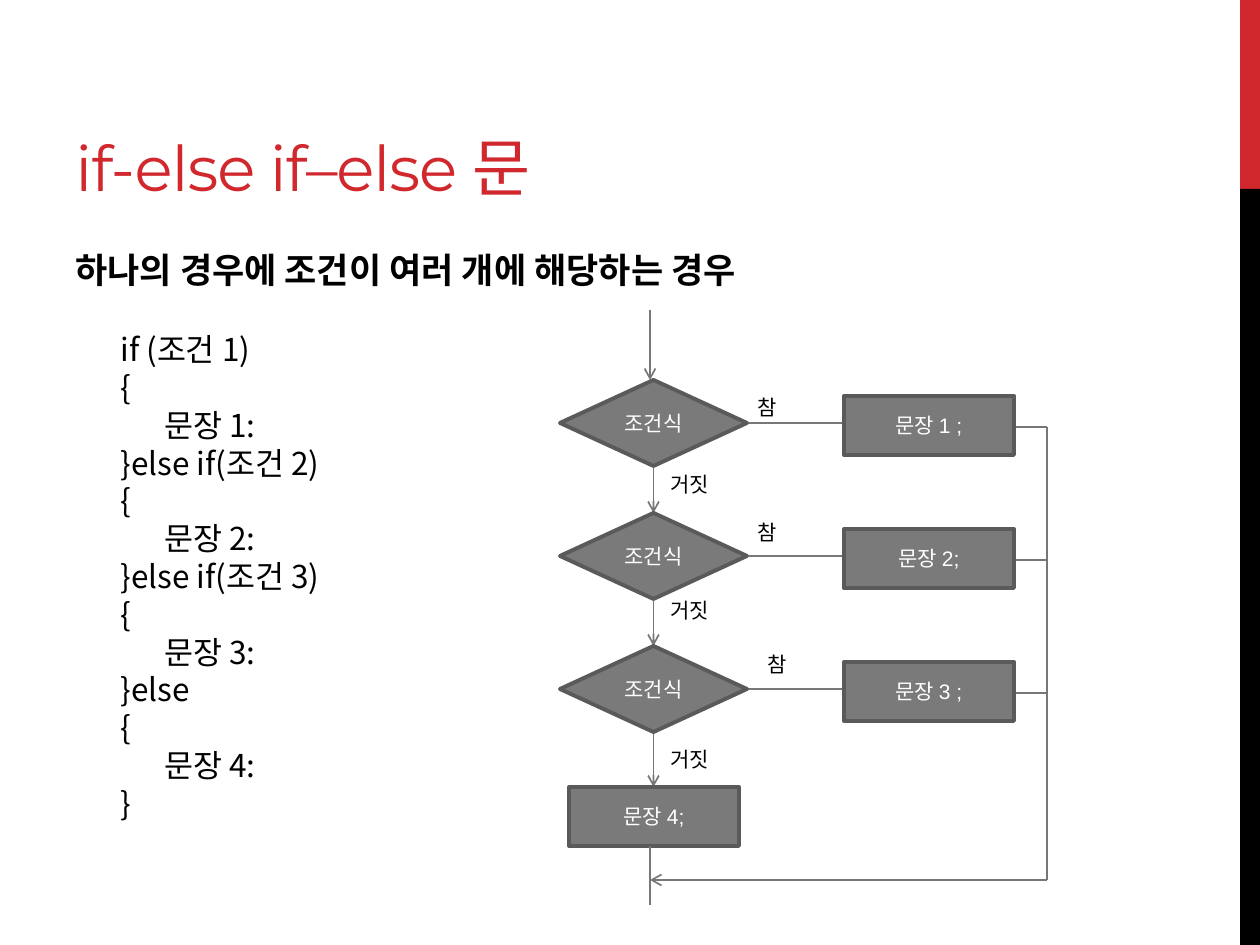
import pptx
import pptx.util
import pptx.dml.color
import pptx.enum.shapes
import pptx.enum.text
import pptx.oxml.ns
from lxml import etree

EMU_PER_PX = 914400 / 126
SHAPE = pptx.enum.shapes.MSO_SHAPE
ANCHOR = pptx.enum.text.MSO_ANCHOR
ALIGN = pptx.enum.text.PP_ALIGN
AUTO_SIZE = pptx.enum.text.MSO_AUTO_SIZE


class Theme:
    red, black, white = "D1282E", "000000", "FFFFFF"
    box_fill, box_line, arrow = "7A7A7A", "5A5A5A", "777777"
    title_font, body_font, code_font = "Montserrat", "Arial", "Noto Sans CJK KR"
    title_size, heading_size, code_size, label_size = 36, 20, 18, 12
    code_spacing, box_width, arrow_width = 21.6, 2.25, 1


# Content
TITLE = "if-else if–else 문"
HEADING = "하나의 경우에 조건이 여러 개에 해당하는 경우"
# Each code line: indent level, text
CODE = [
    (0, "if (조건 1)"), (0, "{"), (1, "문장 1:"),
    (0, "}else if(조건 2)"), (0, "{"), (1, "문장 2:"),
    (0, "}else if(조건 3)"), (0, "{"), (1, "문장 3:"),
    (0, "}else"), (0, "{"), (1, "문장 4:"), (0, "}"),
]
CONDITION, TRUE_LABEL, FALSE_LABEL = "조건식", "참", "거짓"
# Each branch: statement, true label position, false label top
BRANCHES = [
    ("문장 1 ;", (745, 388), 465),
    ("문장 2;", (745, 513), 591),
    ("문장 3 ;", (755, 645), 740),
]
LAST_STATEMENT = "문장 4;"

# Layout in px
CODE_INDENT = 44
DIAMOND_LEFT, DIAMOND_TOP, DIAMOND_WIDTH, DIAMOND_HEIGHT = 560, 380, 187, 86
ROW_PITCH = 133
BOX_LEFT, BOX_WIDTH, BOX_HEIGHT = 844, 170, 59
LAST_LEFT, LAST_TOP = 569, 787
FLOW_X, RETURN_X, RETURN_Y = 650, 1047, 880


def px(value):
    return pptx.util.Emu(round(value * EMU_PER_PX))


def rgb(color):
    return pptx.dml.color.RGBColor.from_string(color)


def add_run(paragraph, text, font, size, color, bold=False):
    run = paragraph.add_run()
    run.text = text
    run.font.name = font
    run.font.size = pptx.util.Pt(size)
    run.font.bold = bold
    run.font.color.rgb = rgb(color)
    return run


def add_text_frame(slide, left, top, width, height, wrap=True):
    frame = slide.shapes.add_textbox(px(left), px(top), px(width), px(height)).text_frame
    frame.word_wrap = wrap
    return frame


def add_shape(slide, kind, left, top, width, height, fill, line=None):
    shape = slide.shapes.add_shape(kind, px(left), px(top), px(width), px(height))
    shape.shadow.inherit = False
    shape.fill.solid()
    shape.fill.fore_color.rgb = rgb(fill)
    if line:
        shape.line.color.rgb = rgb(line)
        shape.line.width = pptx.util.Pt(Theme.box_width)
    else:
        shape.line.fill.background()
    return shape


def add_node(slide, kind, text, left, top, width, height):
    shape = add_shape(slide, kind, left, top, width, height, Theme.box_fill, Theme.box_line)
    frame = shape.text_frame
    frame.vertical_anchor = ANCHOR.MIDDLE
    paragraph = frame.paragraphs[0]
    paragraph.alignment = ALIGN.CENTER
    add_run(paragraph, text, Theme.body_font, Theme.label_size, Theme.white)


def add_line(slide, start, end, arrow=False):
    connector = slide.shapes.add_connector(
        pptx.enum.shapes.MSO_CONNECTOR.STRAIGHT,
        px(start[0]), px(start[1]), px(end[0]), px(end[1]))
    connector.line.color.rgb = rgb(Theme.arrow)
    connector.line.width = pptx.util.Pt(Theme.arrow_width)
    qn = pptx.oxml.ns.qn
    if arrow:
        etree.SubElement(connector.line._get_or_add_ln(), qn("a:tailEnd"), type="arrow")
    etree.SubElement(connector._element.spPr, qn("a:effectLst"))


def add_label(slide, text, left, top, width):
    frame = add_text_frame(slide, left, top, width, 38, wrap=False)
    frame.auto_size = AUTO_SIZE.SHAPE_TO_FIT_TEXT
    add_run(frame.paragraphs[0], text, Theme.body_font, Theme.label_size, Theme.black)


def add_texts(slide):
    # Title and heading
    frame = add_text_frame(slide, 63, 21, 798, 189)
    frame.vertical_anchor = ANCHOR.BOTTOM
    run = add_run(frame.paragraphs[0], TITLE, Theme.title_font, Theme.title_size, Theme.red)
    run.font._element.set("spc", "-60")
    frame = add_text_frame(slide, 63, 242, 1050, 602)
    add_run(frame.paragraphs[0], HEADING, Theme.body_font, Theme.heading_size,
            Theme.black, bold=True)

    # Code listing
    frame = add_text_frame(slide, 108, 324, 436, 509)
    for index, (level, text) in enumerate(CODE):
        paragraph = frame.add_paragraph() if index else frame.paragraphs[0]
        paragraph.line_spacing = pptx.util.Pt(Theme.code_spacing)
        paragraph._p.get_or_add_pPr().set("marL", str(px(level * CODE_INDENT)))
        add_run(paragraph, text, Theme.code_font, Theme.code_size, Theme.black)


def add_flowchart(slide):
    center_x = DIAMOND_LEFT + DIAMOND_WIDTH / 2
    diamond_right = DIAMOND_LEFT + DIAMOND_WIDTH
    box_right = BOX_LEFT + BOX_WIDTH
    add_line(slide, (FLOW_X, 310), (FLOW_X, DIAMOND_TOP), arrow=True)

    # One row per condition
    for row, (statement, true_at, false_top) in enumerate(BRANCHES):
        top = DIAMOND_TOP + row * ROW_PITCH
        middle = top + DIAMOND_HEIGHT / 2
        is_last = row == len(BRANCHES) - 1
        next_top = LAST_TOP if is_last else top + ROW_PITCH
        add_line(slide, (diamond_right, middle), (BOX_LEFT, middle))
        add_line(slide, (box_right, middle + 4), (RETURN_X, middle + 4))
        add_line(slide, (center_x, top + DIAMOND_HEIGHT), (center_x, next_top), arrow=True)
        add_node(slide, SHAPE.FLOWCHART_DECISION, CONDITION,
                 DIAMOND_LEFT, top, DIAMOND_WIDTH, DIAMOND_HEIGHT)
        add_node(slide, SHAPE.RECTANGLE, statement,
                 BOX_LEFT, top + 16, BOX_WIDTH, BOX_HEIGHT)
        add_label(slide, TRUE_LABEL, *true_at, 47)
        add_label(slide, FALSE_LABEL, 658, false_top, 68)

    # Final statement and return path
    add_node(slide, SHAPE.RECTANGLE, LAST_STATEMENT,
             LAST_LEFT, LAST_TOP, BOX_WIDTH, BOX_HEIGHT)
    add_line(slide, (FLOW_X, LAST_TOP + BOX_HEIGHT), (FLOW_X, 905))
    first_exit = DIAMOND_TOP + DIAMOND_HEIGHT / 2 + 4
    add_line(slide, (RETURN_X, first_exit), (RETURN_X, RETURN_Y))
    add_line(slide, (RETURN_X, RETURN_Y), (FLOW_X, RETURN_Y), arrow=True)


def main():
    presentation = pptx.Presentation()
    presentation.slide_width, presentation.slide_height = px(1260), px(945)
    slide = presentation.slides.add_slide(presentation.slide_layouts[6])

    # Side bars
    add_shape(slide, SHAPE.RECTANGLE, 1240, 0, 20, 189, Theme.red)
    add_shape(slide, SHAPE.RECTANGLE, 1240, 189, 20, 756, Theme.black)

    add_texts(slide)
    add_flowchart(slide)
    presentation.save("out.pptx")


if __name__ == "__main__":
    main()
